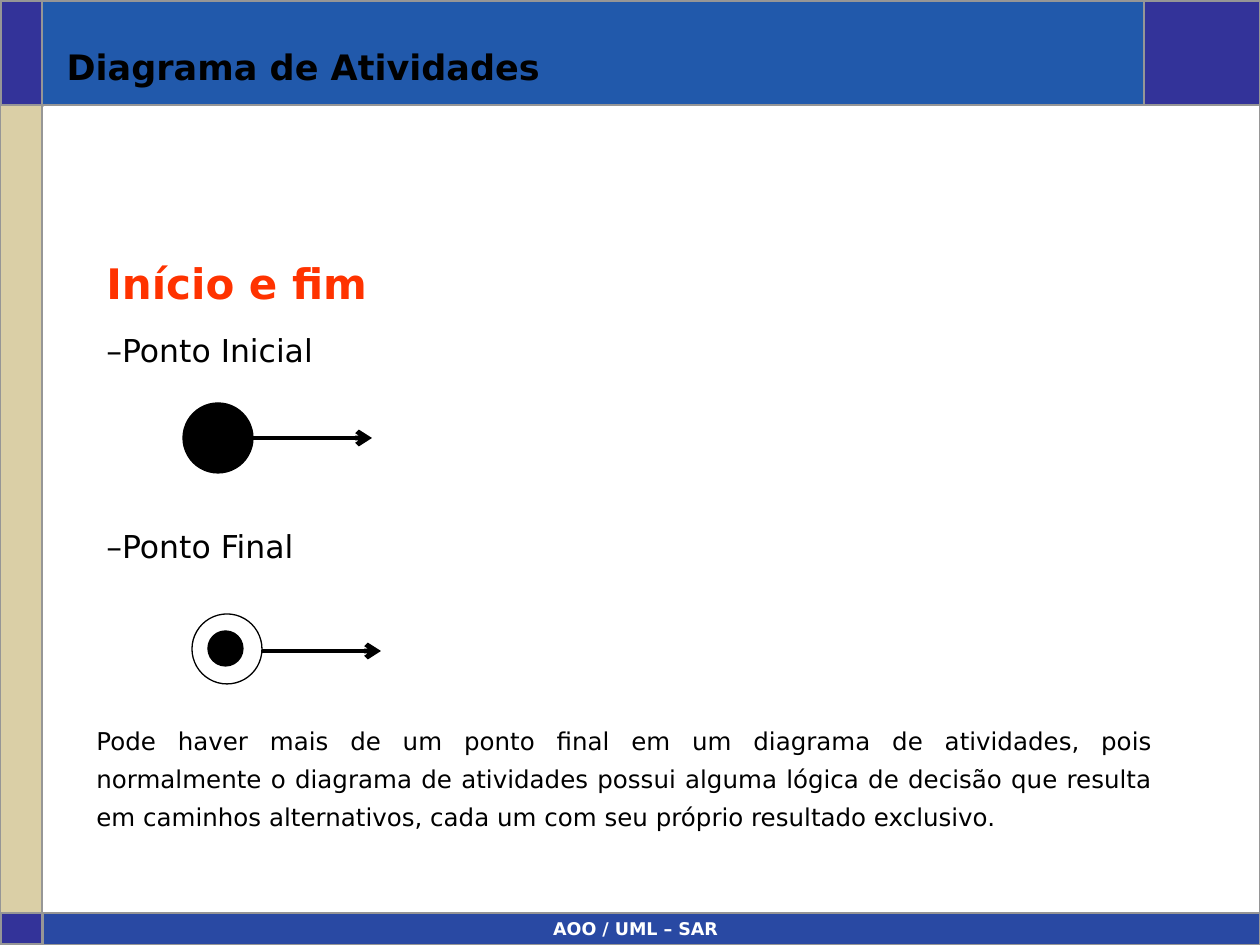
"""Build the activity diagram slide about initial and final points."""
from lxml import etree
from pptx import Presentation
from pptx import util as u
from pptx.dml.color import RGBColor
from pptx.enum import shapes, text
from pptx.oxml.ns import qn

COLORS = {
    "black": "000000", "white": "FFFFFF", "heading": "FF3300",
    "indigo": "333399", "header": "2159AB", "footer": "2949A3",
    "sand": "DACFA6", "grid": "969696", "silver": "C0C0C0",
}
WIDTH, HEIGHT = 1260, 945
SIDE, TOP, RIGHT, BOTTOM = 42, 105, 1144, 913


def px(length):
    return u.Emu(length * 914400 // 126)


def color(name):
    return RGBColor.from_string(COLORS[name])


class SlideBuilder:
    def __init__(self, slide, font="DejaVu Sans"):
        self.slide = slide
        self.font = font

    def shape(self, kind, box, fill=None, line=None, weight=0.75):
        shape = self.slide.shapes.add_shape(kind, *map(px, box))
        shape.shadow.inherit = False
        if fill:
            shape.fill.solid()
            shape.fill.fore_color.rgb = color(fill)
        else:
            shape.fill.background()
        if line:
            shape.line.color.rgb = color(line)
            shape.line.width = u.Pt(weight)
        else:
            shape.line.fill.background()

    def rectangle(self, *box, **style):
        self.shape(shapes.MSO_SHAPE.RECTANGLE, box, **style)

    def circle(self, left, top, size, fill):
        self.shape(shapes.MSO_SHAPE.OVAL, (left, top, size, size), fill, "black")

    def line(self, *ends, stroke="grid", weight=1, arrow=False):
        connector = self.slide.shapes.add_connector(
            shapes.MSO_CONNECTOR.STRAIGHT, *map(px, ends))
        connector.line.color.rgb = color(stroke)
        connector.line.width = u.Pt(weight)
        properties = connector.element.spPr
        if arrow:
            etree.SubElement(properties.find(qn("a:ln")), qn("a:tailEnd"), type="arrow")
        etree.SubElement(properties, qn("a:effectLst"))

    def fill_text(self, frame, words, size, ink="black", bold=False,
                  align=text.PP_ALIGN.JUSTIFY, spacing=1.0, before=0, after=0):
        frame.word_wrap = True
        paragraph = frame.paragraphs[0]
        paragraph.alignment = align
        paragraph.line_spacing = spacing
        paragraph.space_before = u.Pt(before)
        paragraph.space_after = u.Pt(after)
        run = paragraph.add_run()
        run.text = words
        run.font.name = self.font
        run.font.size = u.Pt(size)
        run.font.bold = bold
        run.font.color.rgb = color(ink)

    def textbox(self, box, words, size, **style):
        shape = self.slide.shapes.add_textbox(*map(px, box))
        self.fill_text(shape.text_frame, words, size, **style)

    def title(self, box, words, size):
        shape = self.slide.shapes.title
        shape.left, shape.top, shape.width, shape.height = map(px, box)
        frame = shape.text_frame
        frame.auto_size = text.MSO_AUTO_SIZE.NONE
        frame.vertical_anchor = text.MSO_ANCHOR.BOTTOM
        self.fill_text(frame, words, size, bold=True, align=text.PP_ALIGN.LEFT)
        self.slide.shapes.element.append(shape.element)


def draw_frame(builder):
    builder.rectangle(1, 1, SIDE, TOP, fill="indigo", line="grid")
    builder.rectangle(SIDE, 0, WIDTH - SIDE, TOP, fill="header")
    builder.rectangle(0, TOP, SIDE, BOTTOM - TOP, fill="sand", line="silver")
    builder.rectangle(RIGHT, 0, WIDTH - RIGHT, TOP, fill="indigo")
    builder.rectangle(SIDE, BOTTOM, WIDTH - SIDE, HEIGHT - BOTTOM, fill="footer")
    builder.line(RIGHT, 0, RIGHT, TOP)
    builder.line(0, TOP, WIDTH, TOP)
    builder.rectangle(1, BOTTOM, SIDE, HEIGHT - BOTTOM - 1, fill="indigo", line="grid")
    builder.line(SIDE, 0, SIDE, HEIGHT)
    builder.rectangle(0, 1, WIDTH, HEIGHT - 1, line="grid", weight=1)
    builder.line(0, BOTTOM, WIDTH, BOTTOM)
    builder.textbox((231, 912, 809, 32), "AOO / UML – SAR", 10, ink="white",
                    bold=True, align=text.PP_ALIGN.CENTER)


def draw_content(builder):
    builder.title((54, 16, 1081, 78), "Diagrama de Atividades", 20)
    builder.textbox((94, 241, 1071, 73), "Início e fim", 24, ink="heading",
                    bold=True, spacing=1.2, after=6)
    for top, words in ((314, "–Ponto Inicial"), (510, "–Ponto Final")):
        builder.textbox((94, top, 1081, 62), words, 18, spacing=1.3, before=6.8)
    for left, top, middle, fill in ((183, 403, 438, "black"), (192, 614, 651, "white")):
        builder.circle(left, top, 70, fill)
        builder.line(left + 70, middle, left + 189, middle,
                     stroke="black", weight=2.75, arrow=True)
    builder.circle(208, 631, 35, "black")
    builder.textbox(
        (84, 711, 1081, 127),
        "Pode haver mais de um ponto final em um diagrama de atividades, pois "
        "normalmente o diagrama de atividades possui alguma lógica de decisão que "
        "resulta em caminhos alternativos, cada um com seu próprio resultado exclusivo.",
        14, spacing=1.3, before=5.2)


def main():
    presentation = Presentation()
    presentation.slide_width, presentation.slide_height = px(WIDTH), px(HEIGHT)
    builder = SlideBuilder(presentation.slides.add_slide(presentation.slide_layouts[5]))
    draw_frame(builder)
    draw_content(builder)
    presentation.save("out.pptx")


if __name__ == "__main__":
    main()
